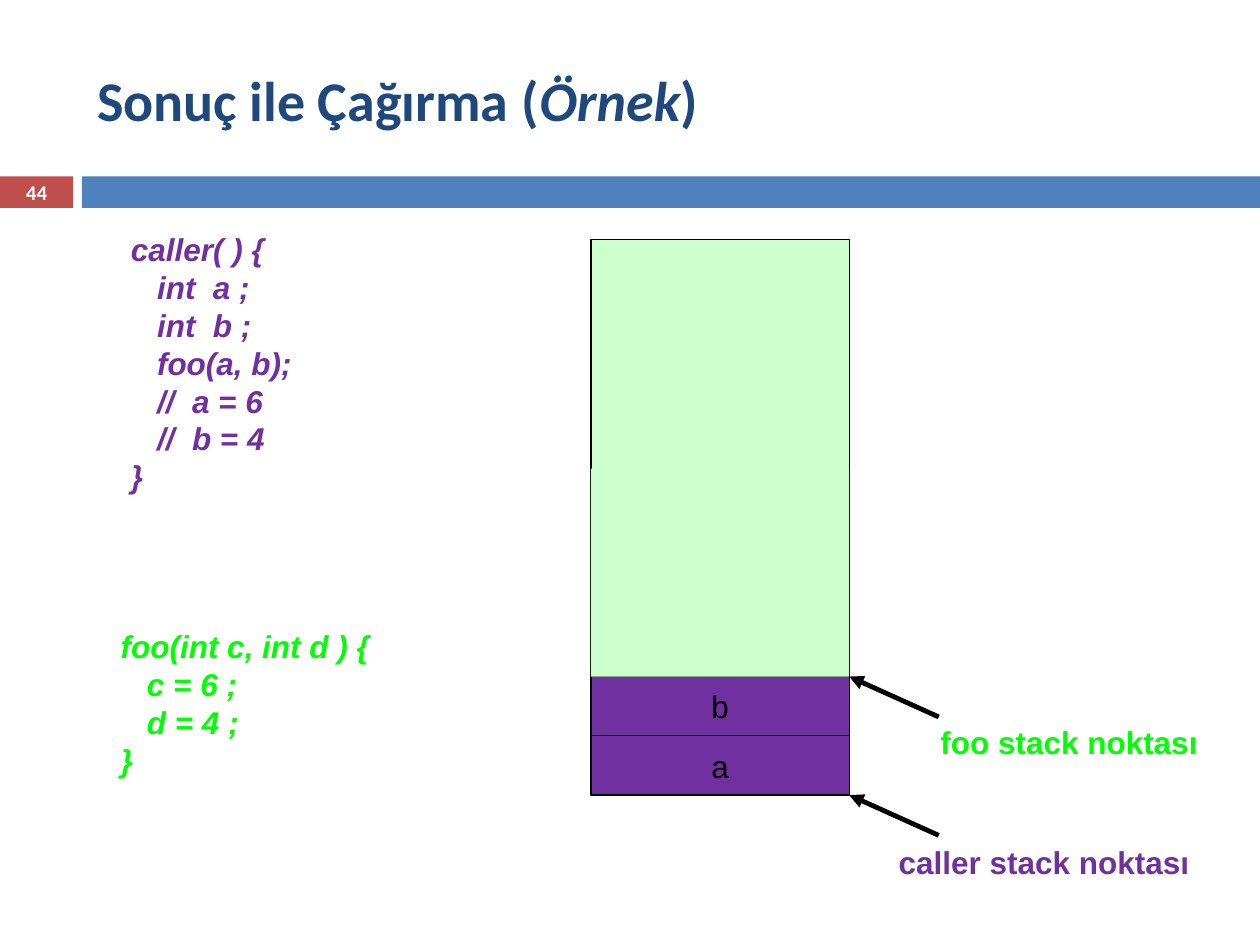
from lxml import etree
from pptx import Presentation
from pptx.dml.color import RGBColor
from pptx.enum.shapes import MSO_CONNECTOR, MSO_SHAPE
from pptx.enum.text import MSO_ANCHOR, PP_ALIGN
from pptx.oxml.ns import qn
from pptx.util import Inches, Pt

PURPLE, GREEN, PALE_GREEN = "7030A0", "00FF00", "CCFFCC"
BLACK, WHITE, NAVY, BLUE, RED = "000000", "FFFFFF", "1F497D", "4F81BD", "C0504D"

CALLER_CODE = ["caller( ) {", "   int  a ;", "   int  b ;", "   foo(a, b);",
               "   //  a = 6", "   //  b = 4", "}"]
FOO_CODE = ["foo(int c, int d ) {", "   c = 6 ;", "   d = 4 ;", "}"]


def color(value):
    return RGBColor.from_string(value)


def add_run(paragraph, text, size, font_name, font_color, bold=False, italic=False):
    run = paragraph.add_run()
    run.text = text
    font = run.font
    font.size, font.name, font.bold, font.italic = Pt(size), font_name, bold, italic
    font.color.rgb = color(font_color)


def add_rectangle(slide, left, top, width, height, fill, line=None):
    shape = slide.shapes.add_shape(MSO_SHAPE.RECTANGLE, Inches(left), Inches(top),
                                   Inches(width), Inches(height))
    shape.shadow.inherit = False
    shape.fill.solid()
    shape.fill.fore_color.rgb = color(fill)
    if line:
        shape.line.color.rgb = color(line)
        shape.line.width = Pt(0.75)
    else:
        shape.line.fill.background()
    return shape


def add_text_box(slide, left, top, width, height):
    box = slide.shapes.add_textbox(Inches(left), Inches(top), Inches(width), Inches(height))
    box.text_frame.word_wrap = True
    return box.text_frame


def add_title(slide, left, top, width, height):
    title = slide.shapes.title
    title.left, title.top = Inches(left), Inches(top)
    title.width, title.height = Inches(width), Inches(height)
    title.text_frame.vertical_anchor = MSO_ANCHOR.MIDDLE
    paragraph = title.text_frame.paragraphs[0]
    paragraph.alignment = PP_ALIGN.LEFT
    for text, italic in (("Sonuç ile Çağırma (", False), ("Örnek", True), (")", False)):
        add_run(paragraph, text, 32, "Calibri", NAVY, True, italic)


def add_band(slide, top, height, number_width, gap, slide_width):
    """Number tile on the left, bar over the rest of the width."""
    tile = add_rectangle(slide, 0, top, number_width, height, RED)
    bar_left = number_width + gap
    add_rectangle(slide, bar_left, top, slide_width - bar_left, height, BLUE)
    frame = tile.text_frame
    frame.vertical_anchor = MSO_ANCHOR.MIDDLE
    frame.margin_top = frame.margin_bottom = 0
    frame.paragraphs[0].alignment = PP_ALIGN.CENTER
    add_run(frame.paragraphs[0], "44", 11.9, "Calibri", WHITE, True)


def add_code(slide, left, top, width, height, lines, font_color):
    frame = add_text_box(slide, left, top, width, height)
    for index, line in enumerate(lines):
        paragraph = frame.add_paragraph() if index else frame.paragraphs[0]
        add_run(paragraph, line, 18, "Arial", font_color, True, True)


def add_stack(slide, left, top, width, height, cell_height, names):
    """Stack column with its named cells at the bottom, first name lowest."""
    add_rectangle(slide, left, top, width, height, PALE_GREEN, BLACK)
    cell_top = top + height
    for name in names:
        cell_top -= cell_height
        cell = add_rectangle(slide, left, cell_top, width, cell_height, PURPLE, BLACK)
        frame = cell.text_frame
        frame.vertical_anchor = MSO_ANCHOR.MIDDLE
        frame.paragraphs[0].alignment = PP_ALIGN.CENTER
        add_run(frame.paragraphs[0], name, 18, "Arial", BLACK)
    # Released frame of foo
    released_height = 1.65
    add_rectangle(slide, left, cell_top - released_height, width, released_height, PALE_GREEN)


def add_pointer(slide, tip_x, tip_y):
    arrow = slide.shapes.add_connector(MSO_CONNECTOR.STRAIGHT, Inches(tip_x + 0.71),
                                       Inches(tip_y + 0.32), Inches(tip_x), Inches(tip_y))
    arrow.line.color.rgb = color(BLACK)
    arrow.line.width = Pt(2.75)
    etree.SubElement(arrow.line._get_or_add_ln(), qn("a:tailEnd"), type="triangle")
    etree.SubElement(arrow._element.spPr, qn("a:effectLst"))


def add_pointer_label(slide, left, top, width, text, font_color):
    paragraph = add_text_box(slide, left, top, width, 0.4).paragraphs[0]
    paragraph.alignment = PP_ALIGN.CENTER
    add_run(paragraph, text, 18, "Arial", font_color, True)


def main():
    presentation = Presentation()
    presentation.slide_width, presentation.slide_height = Inches(10), Inches(7.5)
    slide = presentation.slides.add_slide(presentation.slide_layouts[5])

    # Heading
    add_title(slide, 0.67, 0.25, 8.92, 1.08)
    add_band(slide, 1.4, 0.25, 0.58, 0.07, 10)

    # Code listings
    add_code(slide, 0.94, 1.78, 2.59, 2.52, CALLER_CODE, PURPLE)
    add_code(slide, 0.86, 4.93, 2.91, 1.62, FOO_CODE, GREEN)

    # Stack and its pointers
    left, top, width, height, cell_height = 4.69, 1.9, 2.05, 4.41, 0.47
    names = ["a", "b"]
    add_stack(slide, left, top, width, height, cell_height, names)
    bottom = top + height
    add_pointer(slide, left + width, bottom - len(names) * cell_height)
    add_pointer(slide, left + width, bottom)
    add_pointer_label(slide, 6.97, 5.69, 3.03, "foo stack noktası", GREEN)
    add_pointer_label(slide, 6.89, 6.64, 2.79, "caller stack noktası", PURPLE)

    presentation.save("out.pptx")


if __name__ == "__main__":
    main()
